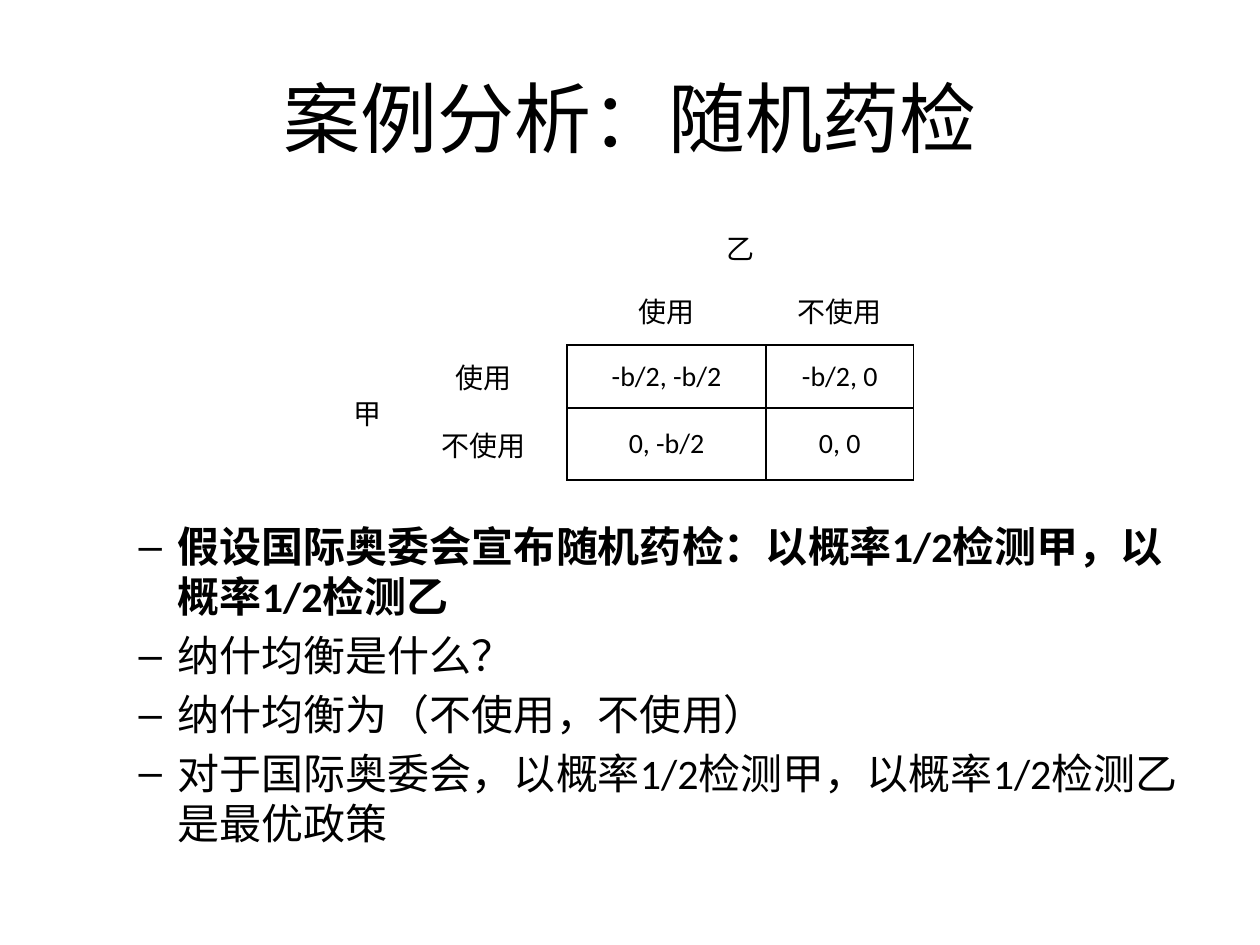
from dataclasses import dataclass

from lxml.etree import SubElement
from pptx import Presentation
from pptx.dml.color import RGBColor
from pptx.enum.text import MSO_ANCHOR, MSO_AUTO_SIZE, PP_ALIGN
from pptx.oxml.ns import qn
from pptx.util import Inches, Pt


@dataclass(frozen=True)
class Theme:
    """Colours, font and type sizes of the slide."""
    ink: str = "000000"
    font: str = "Calibri"
    title_size: int = 44
    point_size: int = 24
    payoff_size: int = 16
    rule_width: float = 1


THEME = Theme()
NO_STYLE_NO_GRID = "{2D5ABB26-0587-4C30-8999-92F81FD0307C}"

HEADING = "案例分析：随机药检"
POINTS = [
    ("假设国际奥委会宣布随机药检：以概率1/2检测甲，以概率1/2检测乙", True),
    ("纳什均衡是什么？", False),
    ("纳什均衡为（不使用，不使用）", False),
    ("对于国际奥委会，以概率1/2检测甲，以概率1/2检测乙是最优政策", False),
]
PAYOFFS = [
    ["", "", "乙", ""],
    ["", "", "使用", "不使用"],
    ["甲", "使用", "-b/2, -b/2", "-b/2, 0"],
    ["", "不使用", "0, -b/2", "0, 0"],
]
COLUMN_WIDTHS = [0.5, 1.33, 1.58, 1.17]
ROW_HEIGHTS = [0.43, 0.56, 0.5, 0.57]
FIRST_PAYOFF = 2  # payoffs start at this row and this column


def write(paragraph, text, size, bold=False, align=None, level=0):
    """Put formatted text into a paragraph."""
    paragraph.level = level
    paragraph.alignment = align
    run = paragraph.add_run()
    run.text = text
    run.font.name = THEME.font
    run.font.size = Pt(size)
    run.font.bold = bold
    run.font.color.rgb = RGBColor.from_string(THEME.ink)


def place(part, box):
    """Move a placeholder to a box of left, top, width, height in inches."""
    part.left, part.top, part.width, part.height = map(Inches, box)


def add_heading(slide, box):
    """Fill the title placeholder."""
    heading = slide.shapes.title
    place(heading, box)
    heading.text_frame.vertical_anchor = MSO_ANCHOR.MIDDLE
    write(heading.text_frame.paragraphs[0], HEADING, THEME.title_size,
          align=PP_ALIGN.CENTER)


def add_points(slide, box):
    """Fill the body placeholder with second-level points."""
    points = slide.placeholders[1]
    place(points, box)
    frame = points.text_frame
    frame.auto_size = MSO_AUTO_SIZE.NONE
    for index, (text, bold) in enumerate(POINTS):
        paragraph = frame.add_paragraph() if index else frame.paragraphs[0]
        write(paragraph, text, THEME.point_size, bold=bold, level=1)


def rule_cell(cell, sides):
    """Draw lines on the given sides of a cell, in the order L, R, T, B."""
    properties = cell._tc.get_or_add_tcPr()
    for side in sides:
        line = SubElement(properties, qn(f"a:ln{side}"),
                          w=str(Pt(THEME.rule_width)))
        fill = SubElement(line, qn("a:solidFill"))
        SubElement(fill, qn("a:srgbClr"), val=THEME.ink)


def cell_sides(row, column):
    """Box the payoffs, and share their edges with the label cells."""
    if row >= FIRST_PAYOFF and column >= FIRST_PAYOFF:
        return "LRTB"
    if row >= FIRST_PAYOFF and column == FIRST_PAYOFF - 1:
        return "R"
    if row == FIRST_PAYOFF - 1 and column >= FIRST_PAYOFF:
        return "B"
    return ""


def add_payoff_table(slide, left, top):
    """Add the two-player payoff matrix with its labels."""
    table = slide.shapes.add_table(
        len(ROW_HEIGHTS), len(COLUMN_WIDTHS), Inches(left), Inches(top),
        Inches(sum(COLUMN_WIDTHS)), Inches(sum(ROW_HEIGHTS))).table
    table.first_row = table.horz_banding = False
    table._tbl.tblPr.find(qn("a:tableStyleId")).text = NO_STYLE_NO_GRID
    for column, width in zip(table.columns, COLUMN_WIDTHS):
        column.width = Inches(width)
    for row, height in zip(table.rows, ROW_HEIGHTS):
        row.height = Inches(height)
    table.cell(0, 2).merge(table.cell(0, 3))
    table.cell(2, 0).merge(table.cell(3, 0))
    for row, texts in enumerate(PAYOFFS):
        for column, text in enumerate(texts):
            cell = table.cell(row, column)
            cell.vertical_anchor = MSO_ANCHOR.MIDDLE
            rule_cell(cell, cell_sides(row, column))
            cell.fill.background()
            if text:
                write(cell.text_frame.paragraphs[0], text, THEME.payoff_size,
                      align=PP_ALIGN.CENTER)


def main():
    """Build the slide and save it."""
    deck = Presentation()
    deck.slide_width, deck.slide_height = Inches(10), Inches(7.5)
    slide = deck.slides.add_slide(deck.slide_layouts[1])
    add_heading(slide, (0.5, 0.3, 9, 1.25))
    add_points(slide, (0.5, 4.08, 9, 3.09))
    add_payoff_table(slide, 2.67, 1.75)
    deck.save("out.pptx")


main()
